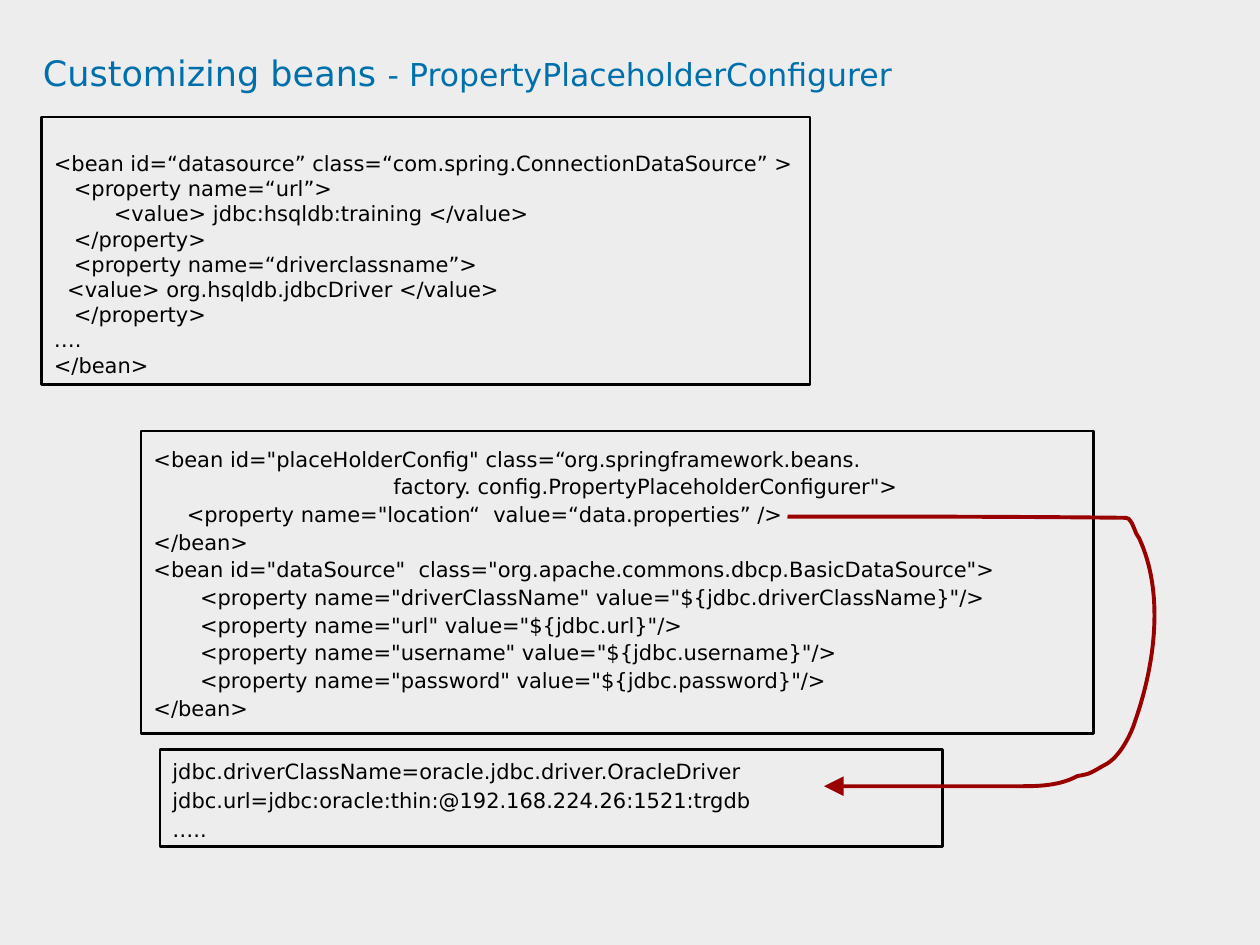
from lxml import etree
from pptx import Presentation
from pptx.dml.color import RGBColor
from pptx.enum.shapes import MSO_SHAPE
from pptx.enum.text import MSO_ANCHOR, MSO_AUTO_SIZE, PP_ALIGN
from pptx.oxml.ns import qn
from pptx.util import Inches, Pt

COLORS = {"back": "EDEDED", "title": "0070AD", "ink": "000000", "arrow": "990000"}
FONT = "DejaVu Sans"

OLD_BEAN = """<bean id=“datasource” class=“com.spring.ConnectionDataSource” >
   <property name=“url”>
         <value> jdbc:hsqldb:training </value>
   </property>
   <property name=“driverclassname”>
  <value> org.hsqldb.jdbcDriver </value>
   </property>
….
</bean>"""

NEW_BEAN = """<bean id="placeHolderConfig" class=“org.springframework.beans.
                                    factory. config.PropertyPlaceholderConfigurer">
     <property name="location“  value=“data.properties” />
</bean>
<bean id="dataSource"  class="org.apache.commons.dbcp.BasicDataSource">
       <property name="driverClassName" value="${jdbc.driverClassName}"/>
       <property name="url" value="${jdbc.url}"/>
       <property name="username" value="${jdbc.username}"/>
       <property name="password" value="${jdbc.password}"/>
</bean>"""

DATA = """jdbc.driverClassName=oracle.jdbc.driver.OracleDriver
jdbc.url=jdbc:oracle:thin:@192.168.224.26:1521:trgdb
….."""

# Bezier segments: two control points and an end point each
START = (6.25, 4.1)
CURVES = [
    ((7.14, 4.1), (8.03, 4.1), (8.92, 4.11)),
    ((8.93, 4.11), (8.95, 4.11), (8.96, 4.12)),
    ((9, 4.16), (9, 4.22), (9.04, 4.27)),
    ((9.24, 4.7), (9.17, 5.26), (9.01, 5.72)),
    ((8.98, 5.82), (8.89, 6.01), (8.77, 6.07)),
    ((8.73, 6.09), (8.69, 6.12), (8.64, 6.14)),
    ((8.61, 6.15), (8.55, 6.16), (8.55, 6.16)),
    ((8.42, 6.23), (8.27, 6.24), (8.12, 6.24)),
    ((7.59, 6.24), (7.07, 6.24), (6.54, 6.24)),
]


def color(name):
    return RGBColor.from_string(COLORS[name])


class Deck:
    def __init__(self):
        self.prs = Presentation()
        self.prs.slide_width = Inches(10)
        self.prs.slide_height = Inches(7.5)
        self.slide = self.prs.slides.add_slide(self.prs.slide_layouts[5])

    def style(self, run, size, name):
        run.font.size = Pt(size)
        run.font.name = FONT
        run.font.color.rgb = color(name)

    def shape(self, kind, left, top, width, height):
        shape = self.slide.shapes.add_shape(
            kind, Inches(left), Inches(top), Inches(width), Inches(height))
        shape.shadow.inherit = False
        return shape

    def back(self):
        shape = self.shape(MSO_SHAPE.RECTANGLE, 0, 0, 10, 7.5)
        shape.fill.solid()
        shape.fill.fore_color.rgb = color("back")
        shape.line.fill.background()
        # Send it behind the title
        self.slide.shapes.title.element.addprevious(shape.element)

    def title(self, parts, left, top, width, height):
        shape = self.slide.shapes.title
        shape.left, shape.top = Inches(left), Inches(top)
        shape.width, shape.height = Inches(width), Inches(height)
        frame = shape.text_frame
        frame.margin_left = frame.margin_right = 0
        frame.margin_top = frame.margin_bottom = 0
        frame.vertical_anchor = MSO_ANCHOR.TOP
        frame.auto_size = MSO_AUTO_SIZE.NONE
        para = frame.paragraphs[0]
        para.alignment = PP_ALIGN.LEFT
        para.line_spacing = 0.9
        for text, size in parts:
            run = para.add_run()
            run.text = text
            self.style(run, size, "title")

    def code(self, text, left, top, width, height, space=1.0, inset=0.05):
        shape = self.shape(MSO_SHAPE.ROUNDED_RECTANGLE, left, top, width, height)
        shape.adjustments[0] = 0
        shape.fill.background()
        shape.line.color.rgb = color("ink")
        shape.line.width = Pt(1.5)
        frame = shape.text_frame
        frame.word_wrap = True
        frame.vertical_anchor = MSO_ANCHOR.MIDDLE
        frame.margin_top = Inches(inset)
        frame.text = text
        for para in frame.paragraphs:
            para.alignment = PP_ALIGN.LEFT
            para.line_spacing = space
            for run in para.runs:
                self.style(run, 12, "ink")

    def arrow(self, start, curves):
        x, y = (Inches(n) for n in start)
        pen = self.slide.shapes.build_freeform(x, y)
        pen.add_line_segments(
            [(Inches(x), Inches(y)) for curve in curves for x, y in curve],
            close=False)
        shape = pen.convert_to_shape()
        # Join every three line points into one cubic curve
        lines = list(shape.element.iter(qn("a:lnTo")))
        for i in range(0, len(lines), 3):
            curve = etree.Element(qn("a:cubicBezTo"))
            lines[i].addprevious(curve)
            for line in lines[i:i + 3]:
                curve.append(line[0])
                line.getparent().remove(line)
        shape.shadow.inherit = False
        shape.fill.background()
        shape.line.color.rgb = color("arrow")
        shape.line.width = Pt(2.25)
        edge = shape.element.spPr.find(qn("a:ln"))
        etree.SubElement(edge, qn("a:tailEnd"), type="triangle", w="lg", len="lg")


def main():
    deck = Deck()

    # Background and title
    deck.back()
    deck.title([("Customizing beans ", 20), ("- PropertyPlaceholderConfigurer", 18)],
               0.34, 0.45, 9.09, 0.93)

    # Bean with fixed values, set low in its box
    deck.code(OLD_BEAN, 0.33, 0.93, 6.1, 2.12, inset=0.26)

    # Beans with placeholders, and the properties file
    deck.code(NEW_BEAN, 1.12, 3.42, 7.56, 2.4, space=1.1)
    deck.code(DATA, 1.27, 5.95, 6.21, 0.77, space=1.15)

    # Arrow from the location to the file
    deck.arrow(START, CURVES)

    deck.prs.save("out.pptx")


if __name__ == "__main__":
    main()
